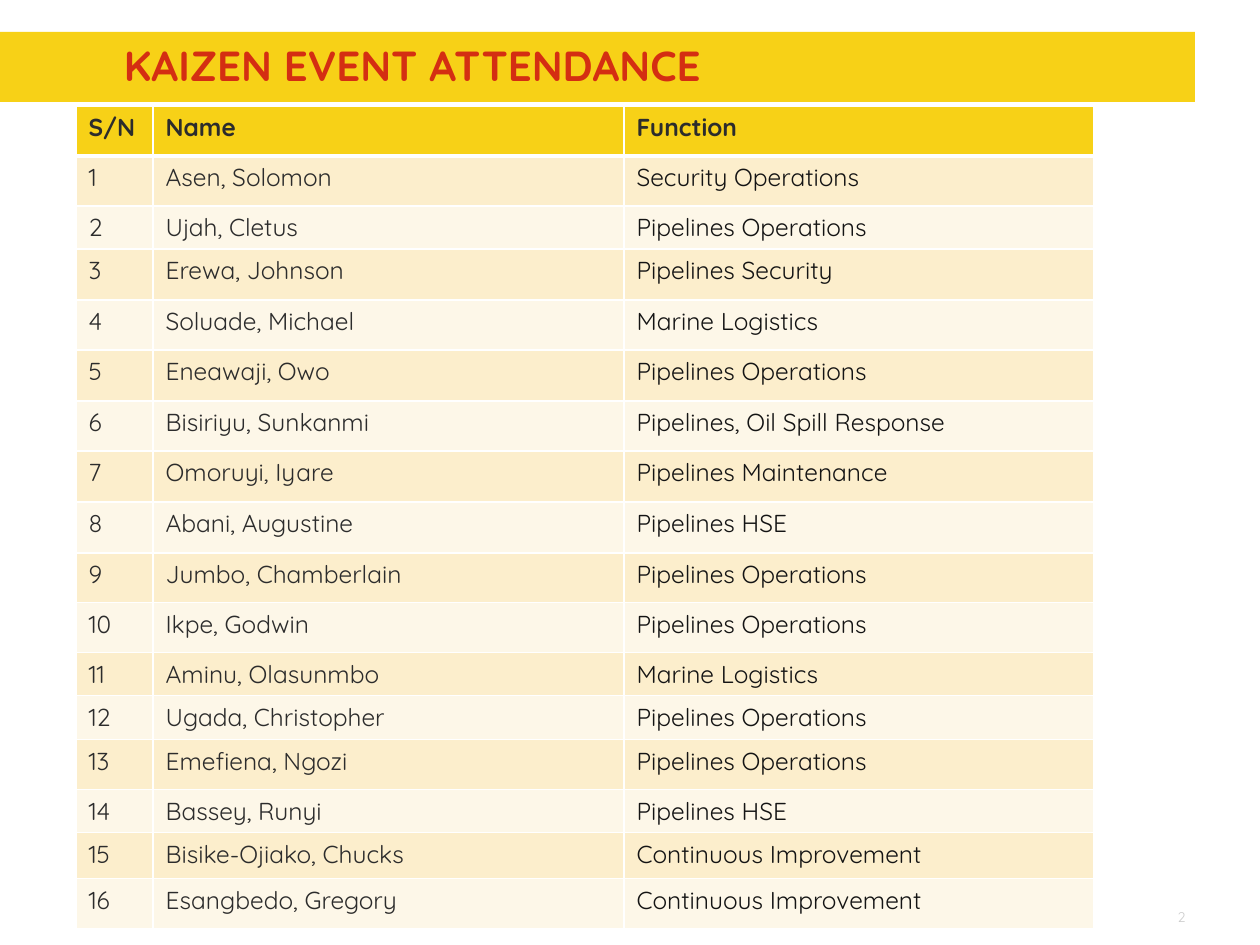
import pptx
import pptx.util
import pptx.dml.color
import pptx.enum.shapes
import pptx.enum.text
import pptx.oxml

RGB = pptx.dml.color.RGBColor
GOLD = RGB(0xF7, 0xD1, 0x17)
RED = RGB(0xD4, 0x2E, 0x12)
DARK = RGB(0x2C, 0x2C, 0x2C)
BLACK = RGB(0x14, 0x14, 0x14)
GREY = RGB(0xCC, 0xCC, 0xCC)
SAND = RGB(0xFC, 0xEE, 0xCC)
CREAM = RGB(0xFD, 0xF7, 0xE8)
WHITE = RGB(0xFF, 0xFF, 0xFF)
PX = 914400 // 126


def write(frame, text, size, color, bold=False):
    run = frame.paragraphs[0].add_run()
    run.text = text
    look = {"name": "Quicksand", "size": pptx.util.Pt(size), "bold": bold}
    for key, value in look.items():
        setattr(run.font, key, value)
    run.font.color.rgb = color


def edge(cell, side, index, width):
    line = pptx.oxml.parse_xml(
        f'<a:{side} xmlns:a="http://schemas.openxmlformats.org/drawingml/2006/main"'
        f' w="{pptx.util.Pt(width)}"><a:solidFill><a:srgbClr val="{WHITE}"/>'
        f'</a:solidFill></a:{side}>')
    cell._tc.get_or_add_tcPr().insert(index, line)


deck = pptx.Presentation()
deck.slide_width = pptx.util.Inches(10)
deck.slide_height = pptx.util.Inches(7.5)
slide = deck.slides.add_slide(deck.slide_layouts[6])
shapes = slide.shapes

# Title band
band = shapes.add_shape(pptx.enum.shapes.MSO_SHAPE.RECTANGLE,
                        0, 32 * PX, 1195 * PX, 70 * PX)
band.shadow.inherit = False
band.fill.solid()
band.fill.fore_color.rgb = GOLD
band.line.fill.background()

# Title
title = shapes.add_textbox(124 * PX, 40 * PX, 1061 * PX, 102 * PX).text_frame
plain = {"word_wrap": True, "margin_left": 0, "margin_top": 0,
         "margin_right": 0, "margin_bottom": 0}
for key, value in plain.items():
    setattr(title, key, value)
write(title, "KAIZEN EVENT ATTENDANCE", 24, RED, True)

# Page number
page = shapes.add_textbox(1162 * PX, 902 * PX, 36 * PX, 24 * PX).text_frame
page.word_wrap = True
page.paragraphs[0].alignment = pptx.enum.text.PP_ALIGN.RIGHT
write(page, "2", 8, GREY)

# Attendance table
people = [
    ("Asen, Solomon", "Security Operations"),
    ("Ujah, Cletus", "Pipelines Operations"),
    ("Erewa, Johnson", "Pipelines Security"),
    ("Soluade, Michael", "Marine Logistics"),
    ("Eneawaji, Owo", "Pipelines Operations"),
    ("Bisiriyu, Sunkanmi", "Pipelines, Oil Spill Response"),
    ("Omoruyi, Iyare", "Pipelines Maintenance"),
    ("Abani, Augustine", "Pipelines HSE"),
    ("Jumbo, Chamberlain", "Pipelines Operations"),
    ("Ikpe, Godwin", "Pipelines Operations"),
    ("Aminu, Olasunmbo", "Marine Logistics"),
    ("Ugada, Christopher", "Pipelines Operations"),
    ("Emefiena, Ngozi", "Pipelines Operations"),
    ("Bassey, Runyi", "Pipelines HSE"),
    ("Bisike-Ojiako, Chucks", "Continuous Improvement"),
    ("Esangbedo, Gregory", "Continuous Improvement"),
]
rows = [("S/N ", "Name", "Function")]
rows += [(str(n), *person) for n, person in enumerate(people, 1)]
stops = [106, 156, 206, 249, 300, 350, 401, 451, 502, 553,
         603, 653, 696, 740, 790, 833, 879, 929]
wides = [77, 471, 470]

table = shapes.add_table(len(rows), len(wides), 76 * PX, stops[0] * PX,
                         sum(wides) * PX, (stops[-1] - stops[0]) * PX).table
for column, wide in zip(table.columns, wides):
    column.width = wide * PX
for r, texts in enumerate(rows):
    table.rows[r].height = (stops[r + 1] - stops[r]) * PX
    head = r == 0
    for c, text in enumerate(texts):
        cell = table.cell(r, c)
        cell.fill.solid()
        cell.fill.fore_color.rgb = GOLD if head else SAND if r % 2 else CREAM
        color = BLACK if c == 2 and not head else DARK
        write(cell.text_frame, text, 14, color, head)
        widths = {"lnL": 1, "lnR": 1, "lnT": 3 if r == 1 else 1, "lnB": 3 if head else 1}
        for i, (side, width) in enumerate(widths.items()):
            edge(cell, side, i, width)

deck.save("out.pptx")
